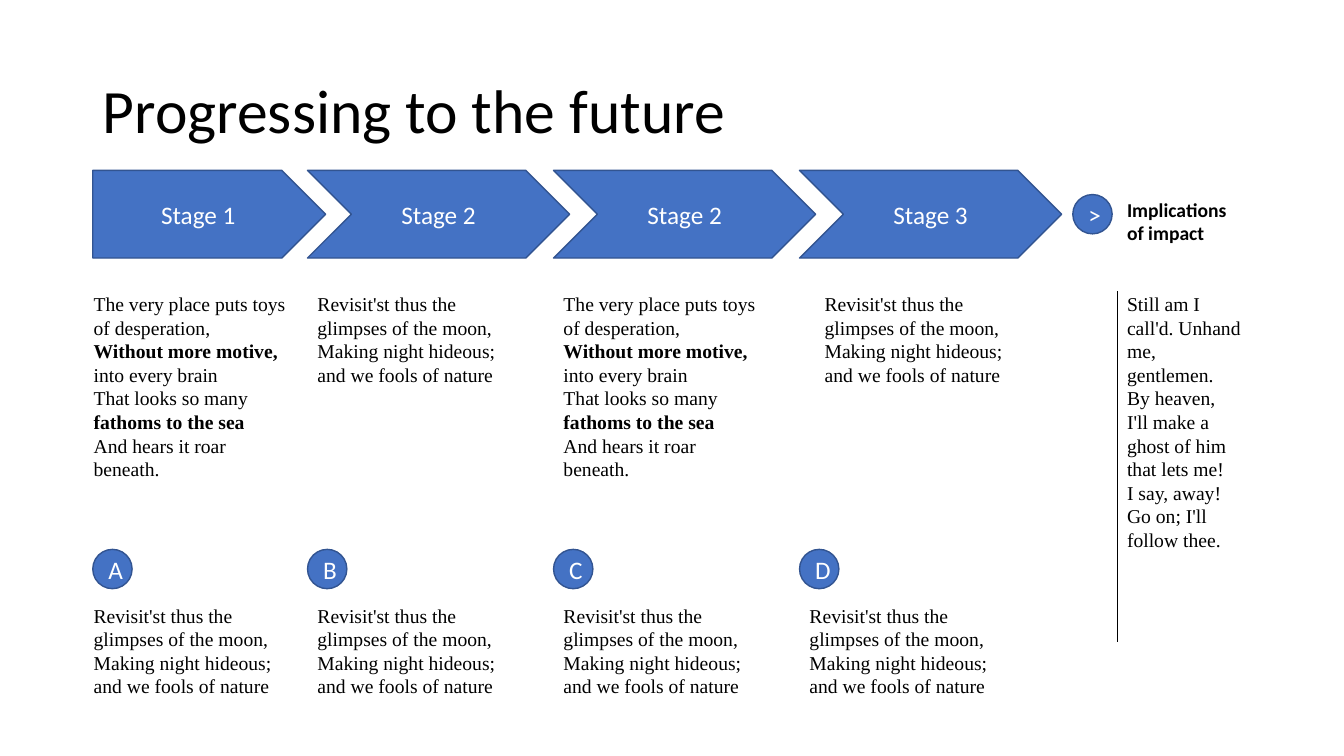
from pptx import Presentation
from pptx.dml.color import RGBColor
from pptx.enum.shapes import MSO_CONNECTOR, MSO_SHAPE
from pptx.enum.text import MSO_ANCHOR, MSO_AUTO_SIZE, PP_ALIGN
from pptx.oxml.ns import qn
from pptx.util import Inches, Pt
from lxml.etree import SubElement

BLUE, EDGE, BLACK, WHITE = "4472C4", "325491", "000000", "FFFFFF"
LEFT, STEP, STAGE_W = 3.05, 2.44, 2.6
COLS = [0.92] + [LEFT + STEP * i for i in range(3)]
TEXT_COLS = [0.83] + COLS[1:]
SIDE = 11.08
STAGE_Y, BODY_Y, BADGE_Y, NOTE_Y = 1.69, 2.85, 5.45, 5.94
BADGE = 0.39

TITLE = {"name": "Calibri", "size": Pt(44), "bold": False}
LABEL = {"name": "Calibri", "size": Pt(18)}
HEADING = {"name": "Calibri", "size": Pt(14), "bold": True}
BODY = {"name": "Times New Roman", "size": Pt(14)}

TOYS = [
    ("The very place puts toys of desperation,\n", False),
    ("Without more motive, ", True),
    ("into every brain\nThat looks so many ", False),
    ("fathoms to the sea\n", True),
    ("And hears it roar beneath.", False),
]
MOON = [("Revisit'st thus the glimpses of the moon,\n"
         "Making night hideous; and we fools of nature", False)]
GHOST = [("Still am I call'd. Unhand me, gentlemen.\n"
          "By heaven, I'll make a ghost of him that lets me!\n"
          "I say, away! Go on; I'll follow thee.", False)]


def rgb(value):
    return RGBColor.from_string(value)


def box(x, y, w, h):
    return [Inches(v) for v in (x, y, w, h)]


def apply(obj, formats):
    for key, value in formats.items():
        setattr(obj, key, value)


def add_run(p, text, formats, color):
    for i, line in enumerate(text.split("\n")):
        if i:
            p.add_line_break()
        if line:
            r = p.add_run()
            r.text = line
            apply(r.font, formats)
            r.font.color.rgb = rgb(color)


def add_title(s, text):
    sp = s.shapes.title
    apply(sp, dict(zip(("left", "top", "width", "height"), box(COLS[0], 0.4, 11.5, 1.45))))
    tf = sp.text_frame
    apply(tf, {"vertical_anchor": MSO_ANCHOR.MIDDLE, "auto_size": MSO_AUTO_SIZE.NONE})
    p = tf.paragraphs[0]
    apply(p, {"alignment": PP_ALIGN.LEFT, "line_spacing": 0.9})
    add_run(p, text, TITLE, BLACK)


def add_label(s, kind, text, *place):
    sp = s.shapes.add_shape(kind, *box(*place))
    sp.shadow.inherit = False
    sp.fill.solid()
    sp.fill.fore_color.rgb = rgb(BLUE)
    sp.line.color.rgb = rgb(EDGE)
    sp.line.width = Pt(1)
    p = sp.text_frame.paragraphs[0]
    p.alignment = PP_ALIGN.CENTER
    add_run(p, text, LABEL, WHITE)


def add_text(s, parts, formats, *place):
    tf = s.shapes.add_textbox(*box(*place)).text_frame
    apply(tf, {"word_wrap": True, "auto_size": MSO_AUTO_SIZE.SHAPE_TO_FIT_TEXT})
    for text, bold in parts:
        add_run(tf.paragraphs[0], text, {**formats, "bold": bold}, BLACK)


def add_rule(s, x, top, bottom):
    line = s.shapes.add_connector(
        MSO_CONNECTOR.STRAIGHT, Inches(x), Inches(top), Inches(x), Inches(bottom))
    line.line.color.rgb = rgb(BLACK)
    line.line.width = Pt(0.5)
    SubElement(line._element.spPr, qn("a:effectLst"))


def main():
    prs = Presentation()
    prs.slide_width, prs.slide_height = Inches(13.33), Inches(7.5)
    s = prs.slides.add_slide(prs.slide_layouts[5])
    add_title(s, "Progressing to the future")

    stages = ["Stage 1", "Stage 2", "Stage 2", "Stage 3"]
    for i, (x, stage) in enumerate(zip(COLS, stages)):
        kind = MSO_SHAPE.CHEVRON if i else MSO_SHAPE.PENTAGON
        add_label(s, kind, stage, x, STAGE_Y, STAGE_W if i else 2.31, 0.87)

    add_label(s, MSO_SHAPE.OVAL, ">", 10.64, 1.93, BADGE, BADGE)
    add_text(s, [("Implications of impact", True)], HEADING, SIDE, 1.91, 1.33, 0.57)
    add_text(s, GHOST, BODY, SIDE, BODY_Y, 1.33, 2.69)

    for x, parts, h in zip(TEXT_COLS[:3] + [8.08], [TOYS, MOON] * 2, [1.99, 1.04] * 2):
        add_text(s, parts, BODY, x, BODY_Y, 2.21, h)
    add_rule(s, SIDE, 2.89, 6.37)

    for x, text_x, letter in zip(COLS, TEXT_COLS, "ABCD"):
        add_label(s, MSO_SHAPE.OVAL, letter, x, BADGE_Y, BADGE, BADGE)
        add_text(s, MOON, BODY, text_x, NOTE_Y, 1.99, 1.04)

    prs.save("out.pptx")


if __name__ == "__main__":
    main()
